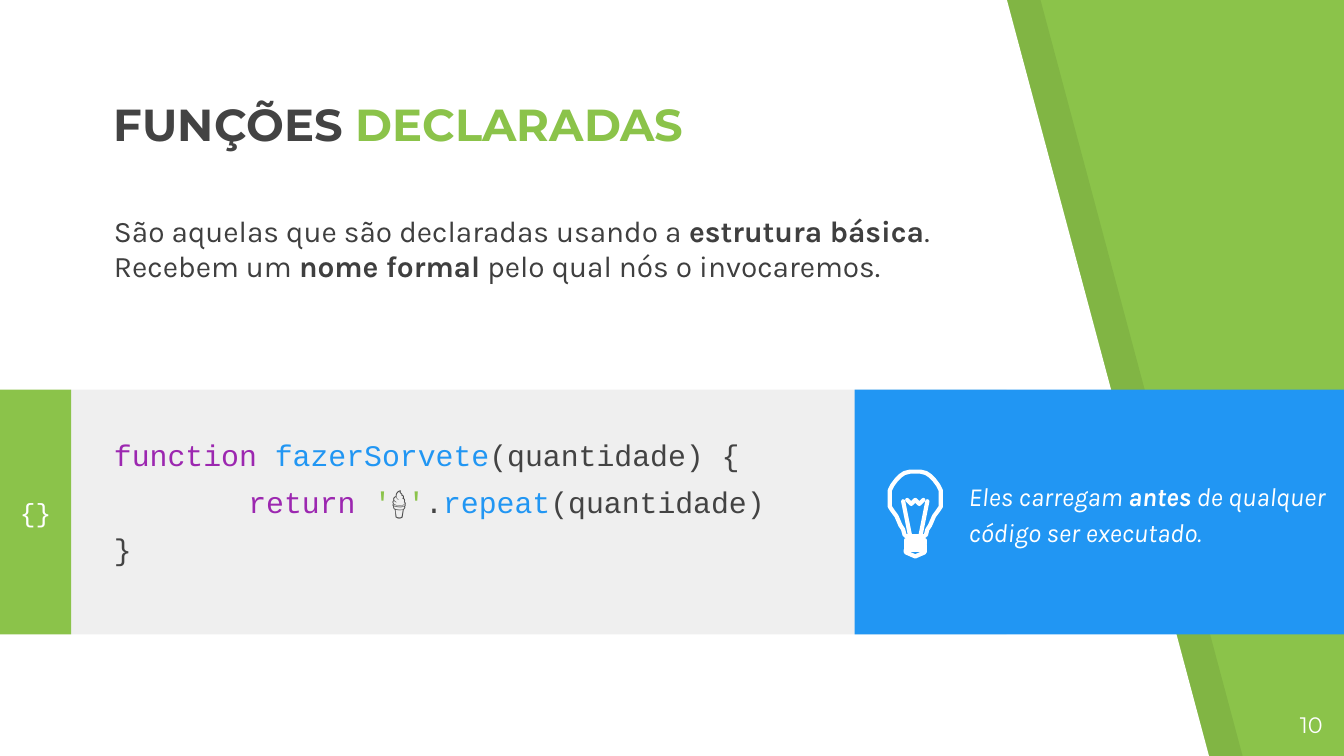
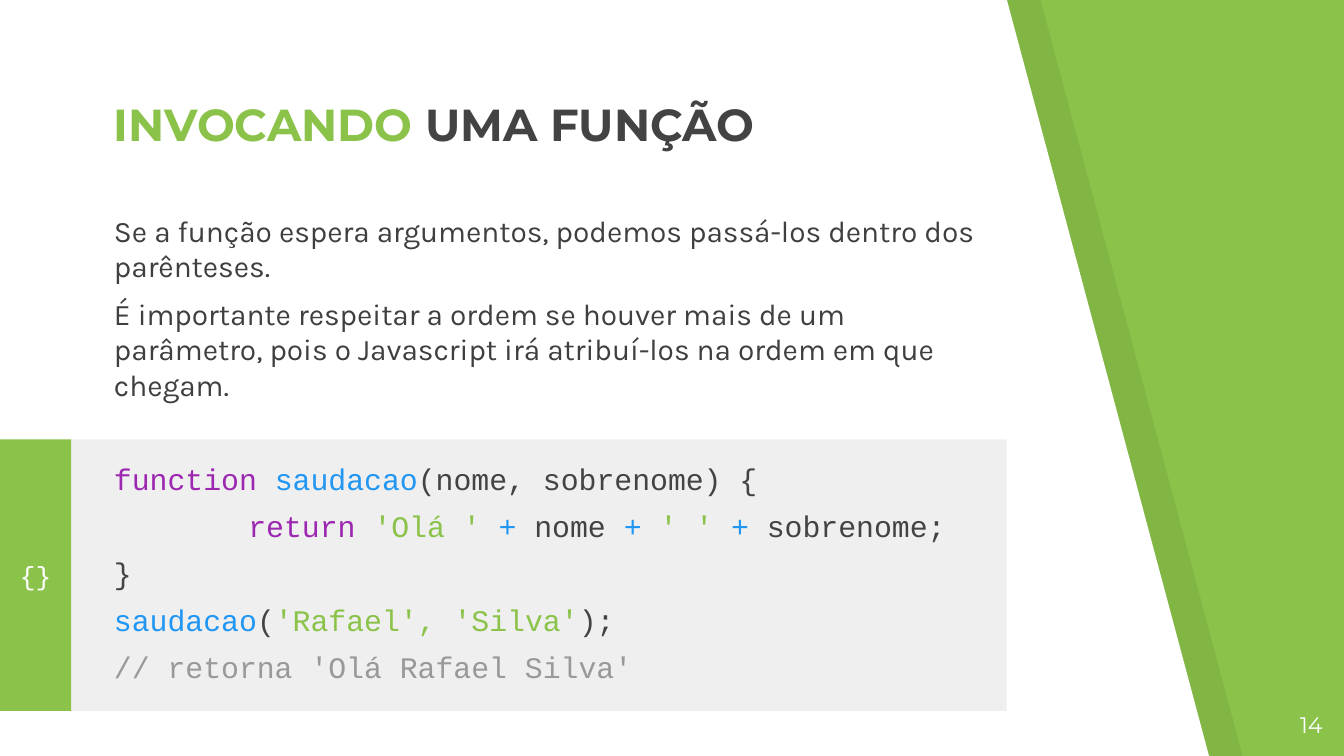
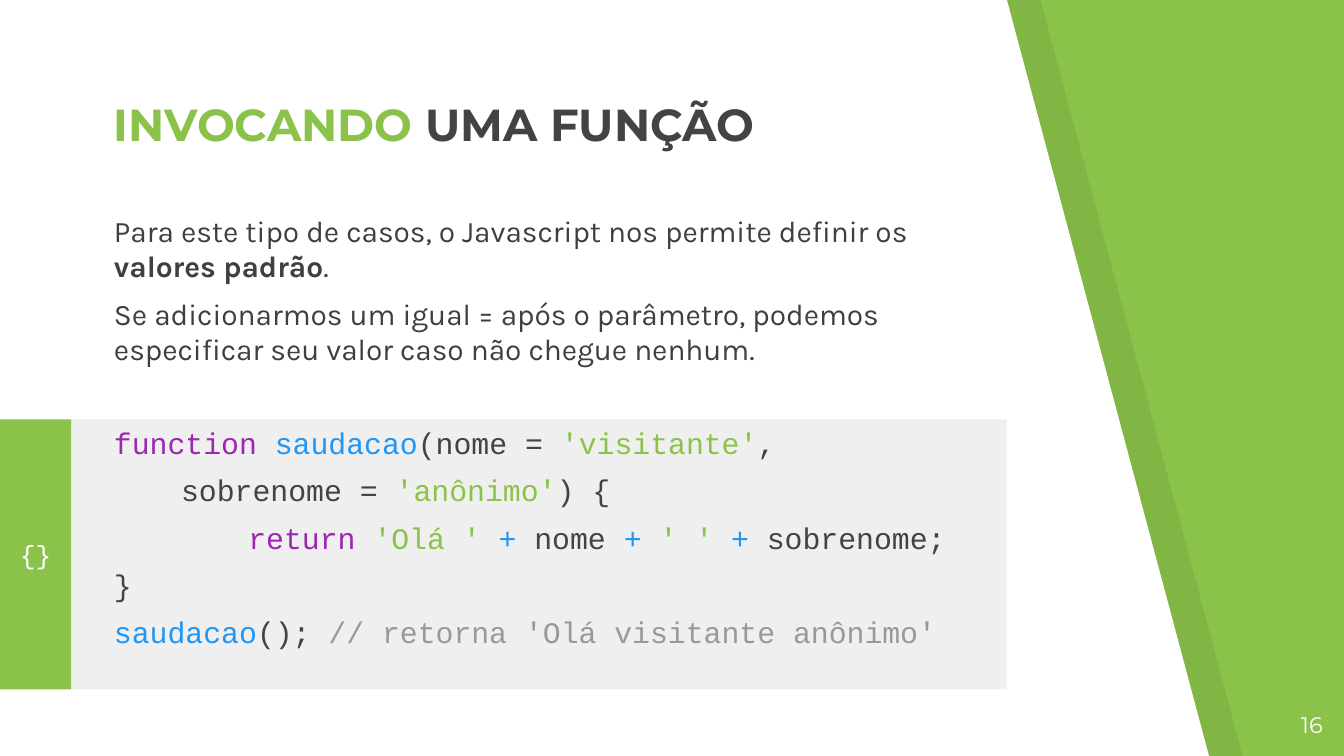
from lxml import etree
from pptx import Presentation
from pptx.dml.color import RGBColor
from pptx.enum.shapes import MSO_CONNECTOR, MSO_SHAPE
from pptx.enum.text import MSO_ANCHOR, PP_ALIGN
from pptx.oxml.ns import qn
from pptx.util import Inches, Pt

RECTANGLE = MSO_SHAPE.RECTANGLE
CALLOUT = MSO_SHAPE.ROUND_2_DIAG_RECTANGLE
STRAIGHT = MSO_CONNECTOR.STRAIGHT
TOP, MIDDLE, BOTTOM = MSO_ANCHOR.TOP, MSO_ANCHOR.MIDDLE, MSO_ANCHOR.BOTTOM
LEFT, CENTER, RIGHT = PP_ALIGN.LEFT, PP_ALIGN.CENTER, PP_ALIGN.RIGHT

GREEN = RGBColor(0x8B, 0xC3, 0x4A)
BLUE = RGBColor(0x21, 0x96, 0xF3)
PURPLE = RGBColor(0x9C, 0x27, 0xB0)
DARK = RGBColor(0x43, 0x43, 0x43)
BODY = RGBColor(0x3F, 0x3F, 0x3F)
GRAY = RGBColor(0x99, 0x99, 0x99)
LIGHT = RGBColor(0xEF, 0xEF, 0xEF)
WHITE = RGBColor(0xFF, 0xFF, 0xFF)
BLACK = RGBColor(0, 0, 0)

TITLE_FONT, BODY_FONT, CODE_FONT = "Montserrat", "Karla", "Courier New"
SLIDE_WIDTH = Inches(10)
SLIDE_HEIGHT = SLIDE_WIDTH * 9 // 16
TEXT_LEFT, TEXT_WIDTH = 0.75, 6.73
TAB_WIDTH, BAND_WIDTH = 0.53, 6.96
SPACE_BEFORE, LINE_PITCH = 6, 25.2

BULB_CENTER = 6.81
BULB_HALF = [
    (0.04, 3.51), (0.08, 3.52), (0.11, 3.54), (0.14, 3.57), (0.17, 3.61),
    (0.19, 3.65), (0.19, 3.71), (0.19, 3.77), (0.17, 3.8), (0.14, 3.84),
    (0.11, 3.91), (0.09, 3.94), (0.08, 3.98),
]
FILAMENT_SIDE = [(0.09, 3.73), (0.07, 3.83), (0.04, 3.98)]
FILAMENT_TOP = [(-0.06, 3.72), (-0.03, 3.75), (0, 3.72), (0.03, 3.75), (0.06, 3.72)]
BULB_BASE = [(-0.07, 4.09), (-0.07, 4.11), (0, 4.14), (0.07, 4.11), (0.07, 4.09)]

RETURN_GREETING = (1, [
    ("return ", PURPLE), ("'Olá ' ", GREEN), ("+", BLUE), (" nome ", DARK),
    ("+ ", BLUE), ("' '", GREEN), (" + ", BLUE), ("sobrenome;", DARK),
])
CLOSING_BRACE = (0, [("}", DARK)])
INVOKING_TITLE = [("INVOCANDO ", GREEN), ("UMA FUNÇÃO", DARK)]


def set_font(paragraph, name, size, color, bold=None, italic=None):
    font = paragraph.font
    font.name, font.size = name, Pt(size)
    font.color.rgb = color
    font.bold, font.italic = bold, italic


def set_indent(paragraph, margin, first_line):
    properties = paragraph._p.get_or_add_pPr()
    properties.set("marL", str(Inches(margin)))
    properties.set("indent", str(Inches(first_line)))


def add_colored_runs(paragraph, runs):
    for text, color in runs:
        run = paragraph.add_run()
        run.text = text
        run.font.color.rgb = color


def add_prose_runs(paragraph, pieces):
    for index, text in enumerate(pieces):
        run = paragraph.add_run()
        run.text = text
        if index % 2:
            run.font.bold = True


def prepare_frame(shape, anchor):
    frame = shape.text_frame
    frame.word_wrap = True
    frame.vertical_anchor = anchor
    frame.margin_left = frame.margin_right = Inches(0.1)
    frame.margin_top = frame.margin_bottom = Inches(0.1)
    return frame


def add_text_box(slide, left, top, width, height, anchor=TOP):
    box = slide.shapes.add_textbox(Inches(left), Inches(top), Inches(width), Inches(height))
    return prepare_frame(box, anchor)


def add_block(shapes, kind, left, top, width, height, color):
    block = shapes.add_shape(kind, Inches(left), Inches(top), Inches(width), Inches(height))
    block.shadow.inherit = False
    block.fill.solid()
    block.fill.fore_color.rgb = color
    block.line.fill.background()
    return block


def add_outline(shapes, points, close):
    corners = [(Inches(x), Inches(y)) for x, y in points]
    builder = shapes.build_freeform(*corners[0])
    builder.add_line_segments(corners[1:], close=close)
    outline = builder.convert_to_shape()
    outline.shadow.inherit = False
    return outline


def add_panel(slide, left, color, opacity=None):
    points = [(left, -0.01), (left, 5.64), (left + 9, 5.64), (left + 7.49, -0.01)]
    panel = add_outline(slide.shapes, points, True)
    panel.line.fill.background()
    panel.fill.solid()
    panel.fill.fore_color.rgb = color
    if opacity is not None:
        color_element = panel._element.spPr.find(".//" + qn("a:srgbClr"))
        etree.SubElement(color_element, qn("a:alpha")).set("val", str(opacity * 1000))


def add_code_band(slide, top, height):
    shapes = slide.shapes.add_group_shape().shapes
    add_block(shapes, RECTANGLE, TAB_WIDTH, top, BAND_WIDTH, height, LIGHT)
    tab = add_block(shapes, RECTANGLE, 0, top, TAB_WIDTH, height, GREEN)
    paragraph = prepare_frame(tab, MIDDLE).paragraphs[0]
    paragraph.alignment = CENTER
    paragraph.add_run().text = "{}"
    set_font(paragraph, CODE_FONT, 14, WHITE)


def add_page_number(slide, number):
    paragraph = add_text_box(slide, 9.34, 5.19, 0.6, 0.43).paragraphs[0]
    paragraph.alignment = RIGHT
    paragraph.add_run().text = str(number)
    set_font(paragraph, TITLE_FONT, 12, WHITE)


def add_body(slide, prose, code, blank_lines):
    frame = add_text_box(slide, TEXT_LEFT, 1.48, TEXT_WIDTH, 3.55)
    paragraph = frame.paragraphs[0]
    for index, pieces in enumerate(prose):
        if index:
            paragraph = frame.add_paragraph()
        add_prose_runs(paragraph, pieces)
        set_font(paragraph, BODY_FONT, 16, BODY)
        paragraph.space_before = Pt(SPACE_BEFORE)
    for index, (indent, runs) in enumerate(code):
        paragraph = frame.add_paragraph()
        add_colored_runs(paragraph, runs)
        set_font(paragraph, CODE_FONT, 16, DARK)
        set_indent(paragraph, 0, indent)
        gap = 0 if index else blank_lines * LINE_PITCH
        paragraph.space_before = Pt(SPACE_BEFORE + gap)


def add_title(slide, runs):
    paragraph = add_text_box(slide, TEXT_LEFT, 0.77, TEXT_WIDTH, 0.45, BOTTOM).paragraphs[0]
    add_colored_runs(paragraph, runs)
    set_font(paragraph, TITLE_FONT, 24, DARK, bold=True)


def add_callout(slide, pieces):
    callout = add_block(slide.shapes, CALLOUT, 6.36, 2.9, 3.64, 1.82, BLUE)
    callout.adjustments[0] = callout.adjustments[1] = 0
    paragraph = prepare_frame(callout, MIDDLE).paragraphs[0]
    paragraph.alignment = LEFT
    paragraph.line_spacing = 1.15
    add_prose_runs(paragraph, pieces)
    set_font(paragraph, BODY_FONT, 14, WHITE, italic=True)
    set_indent(paragraph, 0.75, 0)


def mirror(points):
    return [(-x, y) for x, y in points]


def draw_stroke(shape):
    shape.line.color.rgb = WHITE
    shape.line.width = Pt(2.25)
    line_element = shape._element.spPr.find(qn("a:ln"))
    line_element.set("cap", "rnd")
    etree.SubElement(line_element, qn("a:round"))


def add_bulb(slide):
    shapes = slide.shapes.add_group_shape().shapes
    rungs = [[(-0.07, y), (0.07, y), (0.07, y + 0.03), (-0.07, y + 0.03)] for y in (4.06, 4.02)]
    closed = rungs + [BULB_BASE]
    glass = mirror(BULB_HALF)[::-1] + BULB_HALF
    opened = [mirror(FILAMENT_SIDE), glass, FILAMENT_SIDE, FILAMENT_TOP]
    for points in closed + opened:
        outline = add_outline(shapes, [(BULB_CENTER + x, y) for x, y in points], points in closed)
        outline.fill.background()
        draw_stroke(outline)
    neck = shapes.add_connector(
        STRAIGHT, Inches(BULB_CENTER - 0.07), Inches(3.99), Inches(BULB_CENTER + 0.07), Inches(3.99)
    )
    draw_stroke(neck)
    etree.SubElement(neck._element.spPr, qn("a:effectLst"))


def add_code_slide(presentation, number, title, band, prose, code, blank_lines=1):
    slide = presentation.slides.add_slide(presentation.slide_layouts[6])
    add_panel(slide, 0.25, BLACK, 7)
    add_panel(slide, 0, WHITE)
    add_code_band(slide, *band)
    add_page_number(slide, number)
    add_body(slide, prose, code, blank_lines)
    add_title(slide, title)
    return slide


def main():
    presentation = Presentation()
    presentation.slide_width, presentation.slide_height = SLIDE_WIDTH, SLIDE_HEIGHT
    background = presentation.slide_master.background.fill
    background.solid()
    background.fore_color.rgb = GREEN

    declared = add_code_slide(
        presentation, 10, [("FUNÇÕES ", DARK), ("DECLARADAS", GREEN)], (2.9, 1.82),
        [["São aquelas que são declaradas usando a ", "estrutura básica",
          ". Recebem um ", "nome formal", " pelo qual nós o invocaremos."]],
        [
            (0, [("function ", PURPLE), ("fazerSorvete", BLUE), ("(quantidade) {", DARK)]),
            (1, [("return ", PURPLE), ("'", GREEN), ("🍦", DARK), ("'", GREEN),
                 (".", DARK), ("repeat", BLUE), ("(quantidade)", DARK)]),
            CLOSING_BRACE,
        ],
        blank_lines=3,
    )
    add_callout(declared, ["Eles carregam ", "antes", " de qualquer código ser executado."])
    add_bulb(declared)

    add_code_slide(
        presentation, 14, INVOKING_TITLE, (3.27, 2.02),
        [["Se a função espera argumentos, podemos passá-los dentro dos parênteses."],
         ["É importante respeitar a ordem se houver mais de um parâmetro, "
          "pois o Javascript irá atribuí-los na ordem em que chegam."]],
        [
            (0, [("function ", PURPLE), ("saudacao", BLUE), ("(nome, sobrenome) {", DARK)]),
            RETURN_GREETING,
            CLOSING_BRACE,
            (0, [("saudacao", BLUE), ("(", DARK), ("'Rafael', 'Silva'", GREEN), (");", DARK)]),
            (0, [("// retorna 'Olá Rafael Silva'", GRAY)]),
        ],
    )

    add_code_slide(
        presentation, 16, INVOKING_TITLE, (3.12, 2.01),
        [["Para este tipo de casos, o Javascript nos permite definir os ", "valores padrão", "."],
         ["Se adicionarmos um igual = após o parâmetro, podemos especificar "
          "seu valor caso não chegue nenhum."]],
        [
            (0, [("function ", PURPLE), ("saudacao", BLUE), ("(nome = ", DARK),
                 ("'visitante'", GREEN), (",", DARK)]),
            (0.5, [("sobrenome = ", DARK), ("'anônimo'", GREEN), (") {", DARK)]),
            RETURN_GREETING,
            CLOSING_BRACE,
            (0, [("saudacao", BLUE), ("(); ", DARK),
                 ("// retorna 'Olá visitante anônimo'", GRAY)]),
        ],
    )
    presentation.save("out.pptx")


if __name__ == "__main__":
    main()
